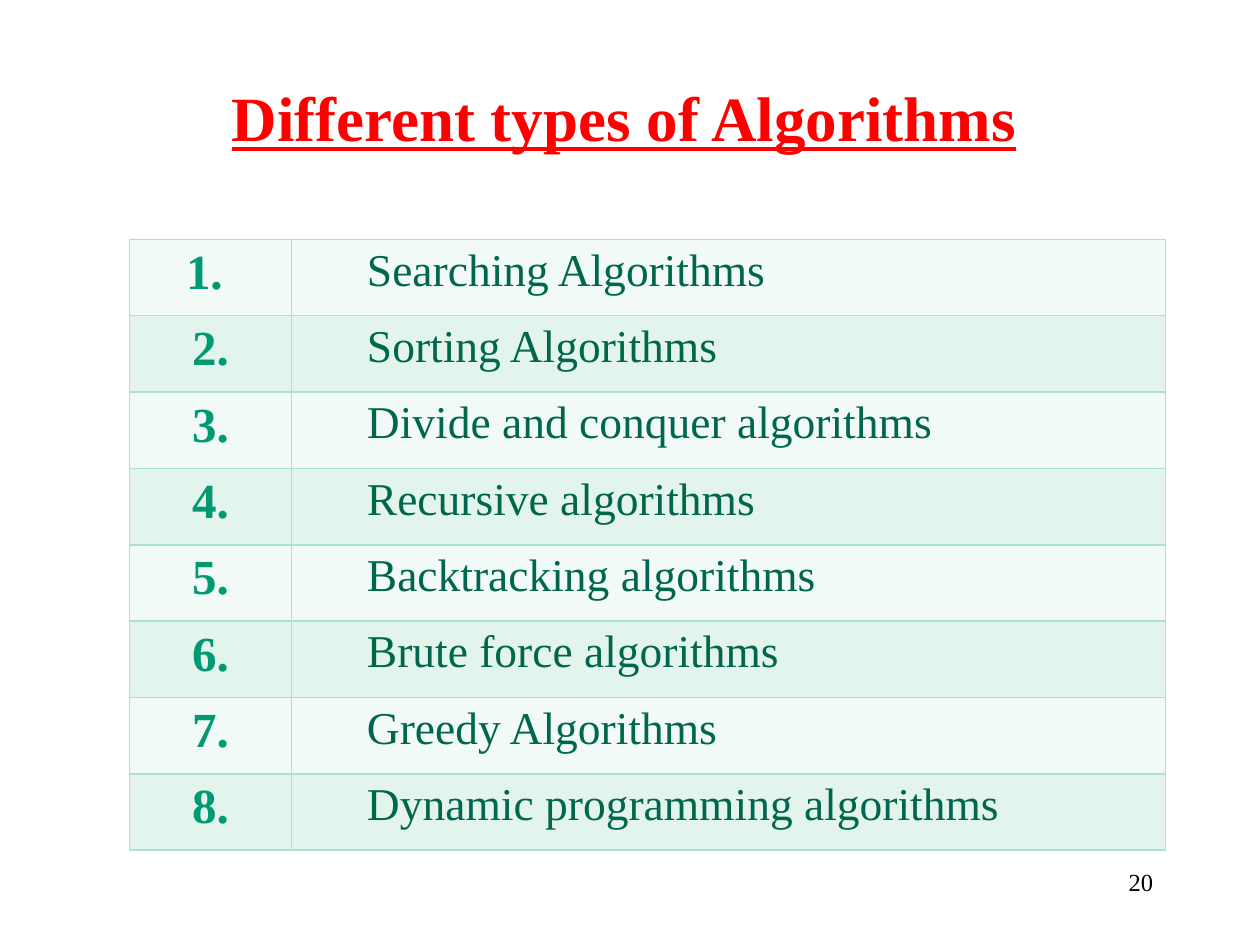
"""Build the slide that lists different types of algorithms."""
from dataclasses import dataclass

from lxml.etree import SubElement
from pptx import Presentation
from pptx.dml.color import RGBColor
from pptx.enum.text import PP_ALIGN
from pptx.oxml.ns import qn
from pptx.slide import Slide
from pptx.table import _Cell
from pptx.text.text import TextFrame
from pptx.util import Pt

FONT = "Times New Roman"
RED = RGBColor(0xFF, 0x00, 0x00)
BLACK = RGBColor(0x00, 0x00, 0x00)
GREEN = RGBColor(0x00, 0x99, 0x73)
DARK_GREEN = RGBColor(0x00, 0x66, 0x4D)
BORDER = RGBColor(0xAA, 0xE2, 0xCA)
BANDS = (RGBColor(0xF1, 0xFA, 0xF6), RGBColor(0xE2, 0xF4, 0xEC))

ROW_HEIGHT = 43.65
COLUMN_WIDTHS = (92.5, 499.5)
ALGORITHMS = (
    "Searching Algorithms",
    "Sorting Algorithms",
    "Divide and conquer algorithms",
    "Recursive algorithms",
    "Backtracking algorithms",
    "Brute force algorithms",
    "Greedy Algorithms",
    "Dynamic programming algorithms",
)


@dataclass(frozen=True)
class TextStyle:
    size: float
    color: RGBColor
    align: PP_ALIGN = PP_ALIGN.LEFT
    bold: bool = False
    underline: bool = False
    indent: float = 0


TITLE = TextStyle(36, RED, PP_ALIGN.CENTER, bold=True, underline=True)
PAGE_NUMBER = TextStyle(14, BLACK, PP_ALIGN.RIGHT)
NUMBER = TextStyle(28, GREEN, PP_ALIGN.CENTER, bold=True)
NAME = TextStyle(26, DARK_GREEN, indent=36)


def write(tf: TextFrame, text: str, style: TextStyle) -> None:
    p = tf.paragraphs[0]
    p.text = text
    p.alignment = style.align
    p.font.name = FONT
    p.font.size = Pt(style.size)
    p.font.bold = style.bold
    p.font.underline = style.underline
    p.font.color.rgb = style.color
    if style.indent:
        p.level = 1
        pPr = p._p.get_or_add_pPr()
        pPr.set("marL", str(Pt(style.indent)))
        pPr.set("indent", "0")


def add_text(s: Slide, left: float, top: float, width: float, height: float,
             text: str, style: TextStyle) -> None:
    sp = s.shapes.add_textbox(Pt(left), Pt(top), Pt(width), Pt(height))
    tf = sp.text_frame
    tf.word_wrap = True
    write(tf, text, style)


def format_cell(cell: _Cell, text: str, style: TextStyle, fill: RGBColor) -> None:
    write(cell.text_frame, text, style)
    tcPr = cell._tc.get_or_add_tcPr()
    for side in ("lnL", "lnR", "lnT", "lnB"):
        ln = SubElement(tcPr, qn(f"a:{side}"), w=str(Pt(1)))
        SubElement(SubElement(ln, qn("a:solidFill")), qn("a:srgbClr"), val=str(BORDER))
    cell.fill.solid()
    cell.fill.fore_color.rgb = fill


def add_algorithms(s: Slide, left: float, top: float) -> None:
    count = len(ALGORITHMS)
    table = s.shapes.add_table(count, 2, Pt(left), Pt(top), Pt(sum(COLUMN_WIDTHS)),
                               Pt(count * ROW_HEIGHT)).table
    table.first_row = table.horz_banding = False
    for column, width in zip(table.columns, COLUMN_WIDTHS):
        column.width = Pt(width)
    for i, name in enumerate(ALGORITHMS):
        table.rows[i].height = Pt(ROW_HEIGHT)
        fill = BANDS[i % 2]
        number = "1. " if i == 0 else f"{i + 1}."
        format_cell(table.cell(i, 0), number, NUMBER, fill)
        format_cell(table.cell(i, 1), name, NAME, fill)


def main() -> None:
    prs = Presentation()
    prs.slide_width, prs.slide_height = Pt(720), Pt(540)
    s = prs.slides.add_slide(prs.slide_layouts[6])
    add_text(s, 72, 41.5, 569, 84, "Different types of Algorithms", TITLE)
    add_text(s, 516, 492, 150, 36, "20", PAGE_NUMBER)
    add_algorithms(s, 74, 136.8)
    prs.save("out.pptx")


if __name__ == "__main__":
    main()
